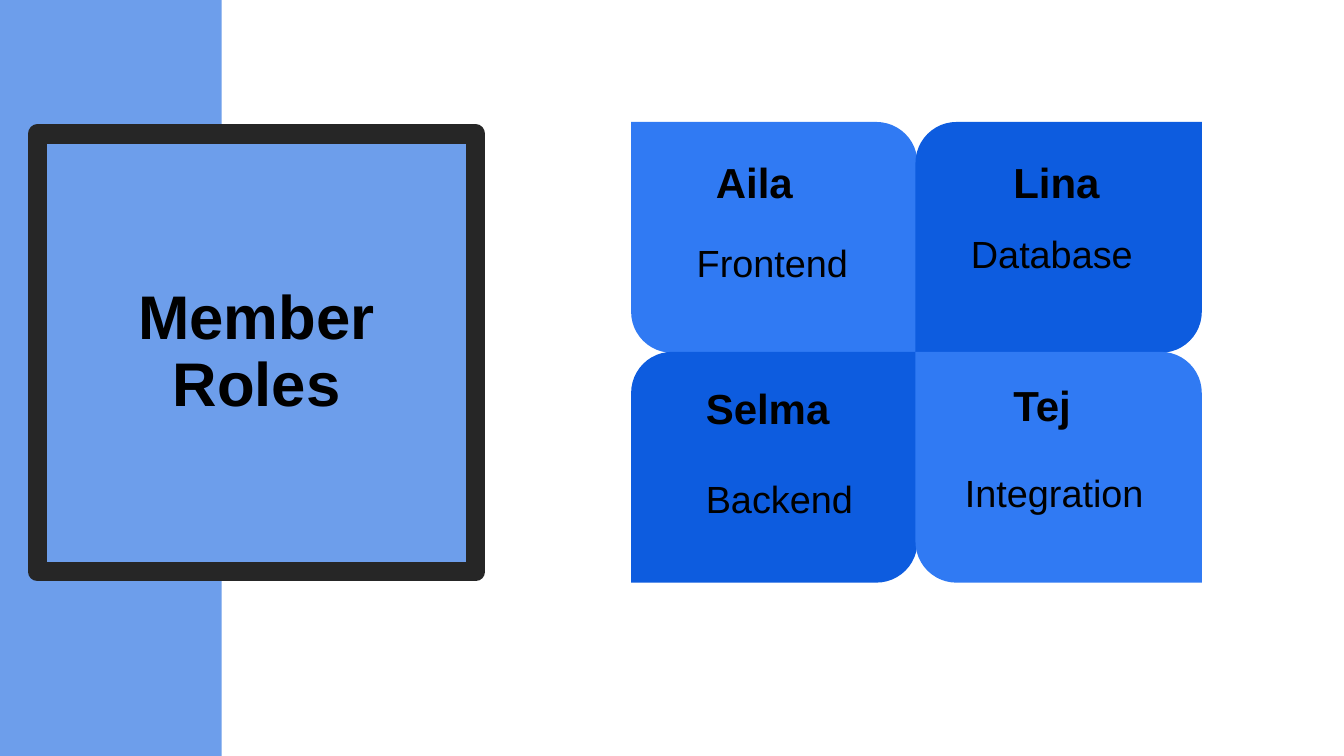
import pptx
import pptx.util
import pptx.dml.color
import pptx.enum.shapes
import pptx.enum.text
import lxml.etree

Inches = pptx.util.Inches
Pt = pptx.util.Pt
RGBColor = pptx.dml.color.RGBColor
MSO_SHAPE = pptx.enum.shapes.MSO_SHAPE
PP_ALIGN = pptx.enum.text.PP_ALIGN
MSO_ANCHOR = pptx.enum.text.MSO_ANCHOR

SKY = RGBColor(0x6D, 0x9E, 0xEB)
FRAME = RGBColor(0x26, 0x26, 0x26)
LIGHT_BLUE = RGBColor(0x30, 0x7A, 0xF3)
DARK_BLUE = RGBColor(0x0D, 0x5C, 0xDF)
BLACK = RGBColor(0, 0, 0)
FONT = "Arial"
DRAWING_NS = "http://schemas.openxmlformats.org/drawingml/2006/main"

CARD_WIDTH, CARD_HEIGHT = 2.84, 2.29
COLUMN_STEP, ROW_STEP = 2.82, 2.28
CORNER = 0.178
MEMBERS = [
    ("Aila", (0.71, 0.21), "Frontend", (0.52, 0.97), 2.12),
    ("Lina", (0.84, 0.21), "Database", (0.42, 0.88), 2.12),
    ("Selma", (0.61, 0.18), "Backend", (0.61, 1.03), 2.12),
    ("Tej", (0.84, 0.15), "Integration", (0.36, 0.97), 2.48),
]


def write_text(sp, text, size, bold=False, align=PP_ALIGN.LEFT,
               anchor=MSO_ANCHOR.TOP, inset=(0.13, 0.13), spacing=1.0, after=0):
    tf = sp.text_frame
    tf.word_wrap = True
    tf.auto_size = pptx.enum.text.MSO_AUTO_SIZE.NONE
    tf.vertical_anchor = anchor
    tf.margin_left = tf.margin_right = Inches(inset[0])
    tf.margin_top = tf.margin_bottom = Inches(inset[1])
    p = tf.paragraphs[0]
    p.alignment = align
    p.line_spacing = spacing
    p.space_before = Pt(0)
    p.space_after = Pt(after)
    r = p.add_run()
    r.text = text
    r.font.name = FONT
    r.font.size = Pt(size)
    r.font.bold = bold
    r.font.color.rgb = BLACK


def add_filled(shapes, kind, left, top, width, height, color):
    sp = shapes.add_shape(kind, Inches(left), Inches(top), Inches(width), Inches(height))
    sp.shadow.inherit = False
    sp.fill.solid()
    sp.fill.fore_color.rgb = color
    sp.line.fill.background()
    return sp


def add_label(shapes, left, top, width, height, text, size, **fmt):
    sp = shapes.add_textbox(Inches(left), Inches(top), Inches(width), Inches(height))
    write_text(sp, text, size, **fmt)


def add_title_panel(s, left, top, width, height):
    band = add_filled(s.shapes, MSO_SHAPE.RECTANGLE, 0, 0, 2.2, 7.5, SKY)
    title = s.shapes.title
    title.element.addprevious(band.element)
    title.left, title.top = Inches(left), Inches(top)
    title.width, title.height = Inches(width), Inches(height)
    title.fill.solid()
    title.fill.fore_color.rgb = SKY
    title.line.color.rgb = FRAME
    title.line.width = Pt(13.75)
    line = title.element.spPr.find(f"{{{DRAWING_NS}}}ln")
    lxml.etree.SubElement(line, f"{{{DRAWING_NS}}}round")
    write_text(title, "Member Roles", 44, bold=True, align=PP_ALIGN.CENTER,
               anchor=MSO_ANCHOR.MIDDLE, inset=(0.7, 0.05), spacing=0.9)


def add_card(s, left, top, member, dark):
    name, name_at, role, role_at, role_width = member
    shapes = s.shapes.add_group_shape().shapes
    card = add_filled(shapes, MSO_SHAPE.ROUND_2_DIAG_RECTANGLE, left, top,
                      CARD_WIDTH, CARD_HEIGHT, DARK_BLUE if dark else LIGHT_BLUE)
    card.adjustments[0] = CORNER if dark else 0
    card.adjustments[1] = 0 if dark else CORNER
    add_label(shapes, left + name_at[0], top + name_at[1], 2.12, 0.67,
              name, 30, bold=True)
    add_label(shapes, left + role_at[0], top + role_at[1], role_width, 0.75,
              role, 27, spacing=1.15, after=21)


def add_member_grid(s, left, top):
    for i, member in enumerate(MEMBERS):
        row, column = divmod(i, 2)
        add_card(s, left + column * COLUMN_STEP, top + row * ROW_STEP,
                 member, dark=row != column)


def main():
    prs = pptx.Presentation()
    prs.slide_width, prs.slide_height = Inches(13.33), Inches(7.5)
    s = prs.slides.add_slide(prs.slide_layouts[5])
    add_title_panel(s, 0.37, 1.33, 4.35, 4.34)
    add_member_grid(s, 6.26, 1.21)
    prs.save("out.pptx")


if __name__ == "__main__":
    main()
